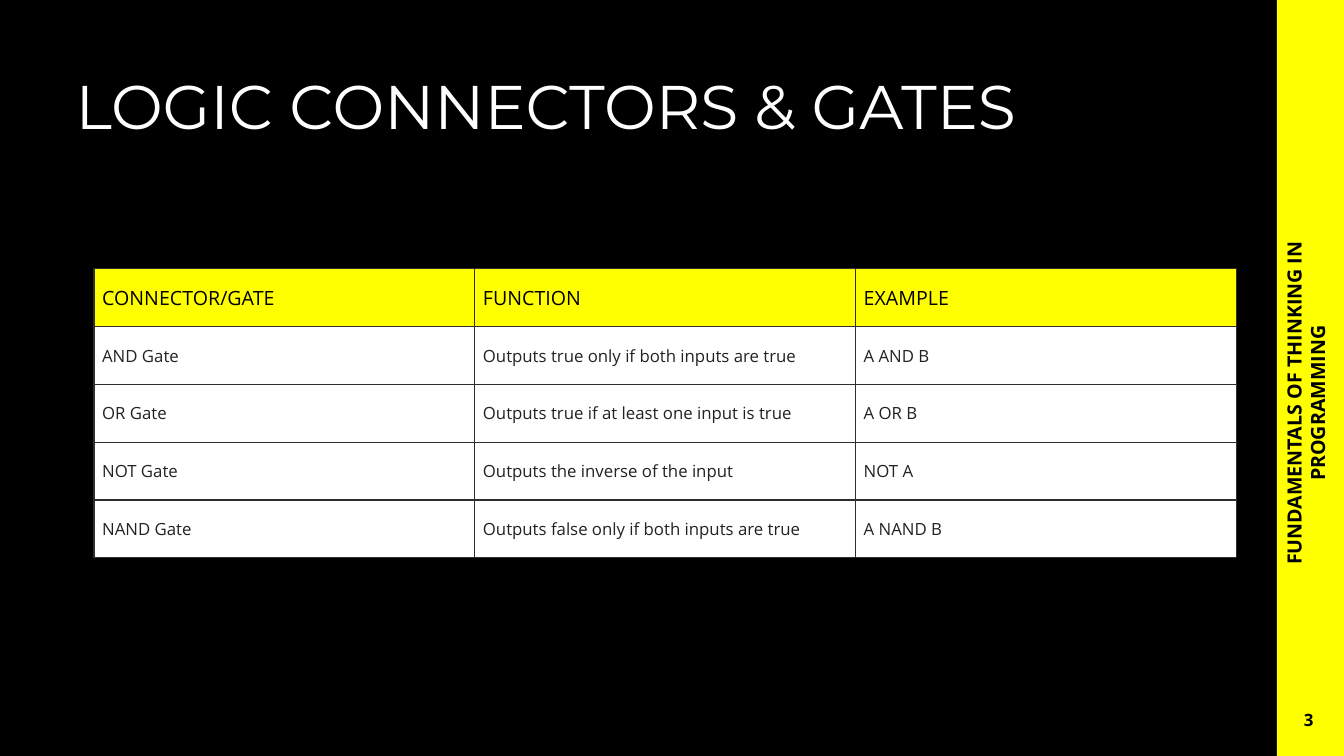
"""Build a slide with a table of logic connectors and gates."""
from lxml.etree import SubElement
from pptx import Presentation
from pptx.dml.color import RGBColor
from pptx.enum.shapes import MSO_SHAPE as Shape
from pptx.enum.text import MSO_ANCHOR as Anchor, MSO_AUTO_SIZE as AutoSize, PP_ALIGN as Align
from pptx.oxml.ns import qn
from pptx.util import Inches, Pt

BLACK = RGBColor(0x00, 0x00, 0x00)
WHITE = RGBColor(0xFF, 0xFF, 0xFF)
YELLOW = RGBColor(0xFF, 0xFF, 0x00)
INK = RGBColor(0x23, 0x22, 0x20)
RULE = RGBColor(0x2F, 0x2E, 0x2C)
UNIT = Inches(1) / 15
COLUMNS, ROWS = 200, 112.5
GATES = [
    ("CONNECTOR/GATE", "FUNCTION", "EXAMPLE"),
    ("AND Gate", "Outputs true only if both inputs are true", "A AND B"),
    ("OR Gate", "Outputs true if at least one input is true", "A OR B"),
    ("NOT Gate", "Outputs the inverse of the input", "NOT A"),
    ("NAND Gate", "Outputs false only if both inputs are true", "A NAND B"),
]


def grid(*lengths):
    return [round(length * UNIT) for length in lengths]


def write(frame, text, size, color, font="Open Sans", bold=False, align=Align.LEFT):
    frame.text = text
    frame.word_wrap = True
    paragraph = frame.paragraphs[0]
    paragraph.alignment = align
    style = paragraph.runs[0].font
    style.name, style.size, style.bold = font, Pt(size), bold
    style.color.rgb = color


deck = Presentation()
deck.slide_width, deck.slide_height = grid(COLUMNS, ROWS)
slide = deck.slides.add_slide(deck.slide_layouts[5])
slide.background.fill.solid()
slide.background.fill.fore_color.rgb = BLACK

sidebar = slide.shapes.add_shape(Shape.RECTANGLE, *grid(190, 0, 10, ROWS))
sidebar.shadow.inherit = False
sidebar.fill.solid()
sidebar.fill.fore_color.rgb = YELLOW
sidebar.line.fill.background()

heading = slide.shapes.title
heading.left, heading.top, heading.width, heading.height = grid(9.75, 9.3, 170, 15.6)
write(heading.text_frame, "LOGIC CONNECTORS & GATES", 44, WHITE, font="Montserrat")
heading.text_frame.vertical_anchor = Anchor.TOP
heading.text_frame.auto_size = AutoSize.NONE

gates = slide.shapes.add_table(len(GATES), len(GATES[0]), *grid(14, 40, 170, 43)).table
for row, entries in enumerate(GATES):
    for column, entry in enumerate(entries):
        cell = gates.cell(row, column)
        size, color, fill = (14, BLACK, YELLOW) if row == 0 else (12, INK, WHITE)
        write(cell.text_frame, entry, size, color)
        cell.vertical_anchor = Anchor.MIDDLE
        cell.margin_left = cell.margin_right = Inches(0.08)
        cell.margin_top = cell.margin_bottom = Inches(0.08)
        properties = cell._tc.get_or_add_tcPr()
        for side in ("a:lnL", "a:lnR", "a:lnT", "a:lnB"):
            border = SubElement(properties, qn(side), w=str(Pt(1)))
            SubElement(SubElement(border, qn("a:solidFill")), qn("a:srgbClr"), val=str(RULE))
        cell.fill.solid()
        cell.fill.fore_color.rgb = fill

page_number = slide.shapes.add_textbox(*grid(189.75, 104.1, 10, 5.85))
write(page_number.text_frame, "3", 12.1, BLACK, bold=True, align=Align.CENTER)
page_number.text_frame.vertical_anchor = Anchor.MIDDLE

course = slide.shapes.add_textbox(*grid(159.3, 57, 67.5, 6))
course.rotation = 270
write(course.text_frame, "FUNDAMENTALS OF THINKING IN PROGRAMMING", 14, BLACK,
      bold=True, align=Align.CENTER)

deck.save("out.pptx")
